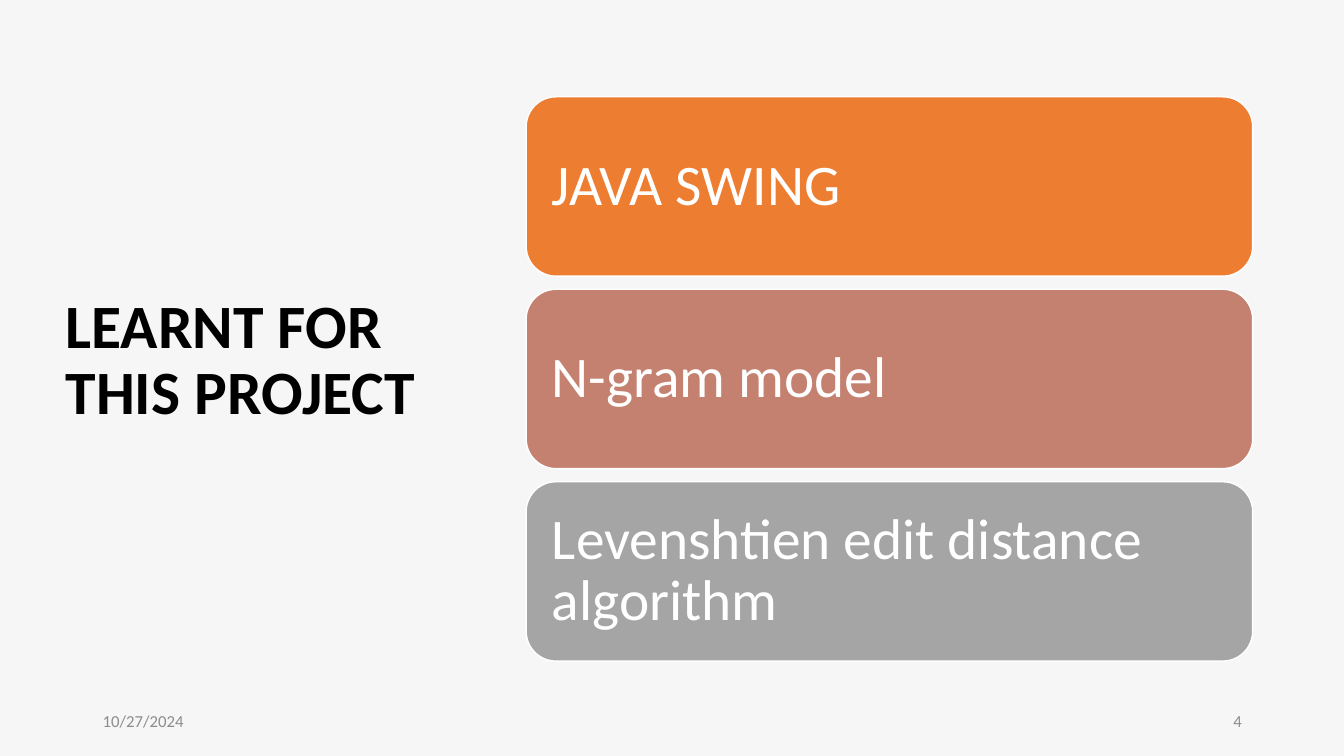
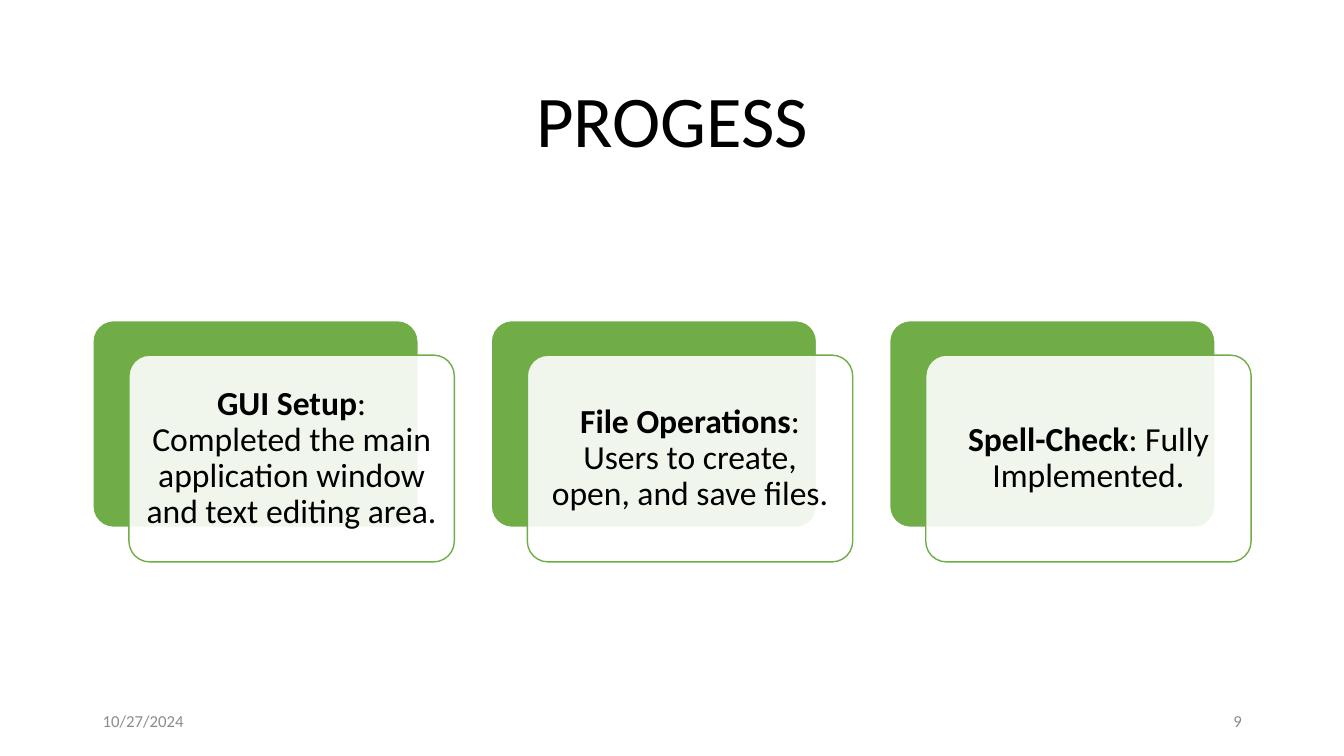
from dataclasses import dataclass

from lxml import etree
from pptx import Presentation
from pptx.dml.color import RGBColor
from pptx.enum import shapes, text
from pptx.oxml import ns
from pptx.util import Cm, Pt


@dataclass(frozen=True)
class Theme:
    """Colours, font and type sizes shared by the slides."""
    font: str = "Calibri"
    ink: str = "000000"
    white: str = "FFFFFF"
    pale: str = "F6F6F6"
    muted: str = "8C8C8C"
    orange: str = "ED7D31"
    clay: str = "C48170"
    gray: str = "A5A5A5"
    green: str = "70AD47"
    side_title: int = 44
    top_title: int = 52
    topic: int = 41
    card: int = 24
    footer: int = 12


THEME = Theme()
LEFT, CENTER, RIGHT = (text.PP_ALIGN.LEFT, text.PP_ALIGN.CENTER,
                       text.PP_ALIGN.RIGHT)
DATE = "10/27/2024"


def write(shape, *runs, size, color=THEME.ink, align=LEFT, spacing=0.9,
          inset=None):
    """Fill a shape with one paragraph of (wording, bold) runs."""
    frame = shape.text_frame
    frame.word_wrap = True
    frame.auto_size = text.MSO_AUTO_SIZE.NONE
    frame.vertical_anchor = text.MSO_ANCHOR.MIDDLE
    if inset is not None:
        frame.margin_left = frame.margin_right = Cm(inset)
        frame.margin_top = frame.margin_bottom = Cm(inset)
    paragraph = frame.paragraphs[0]
    paragraph.alignment = align
    paragraph.line_spacing = spacing
    for wording, bold in runs:
        run = paragraph.add_run()
        run.text = wording
        run.font.name = THEME.font
        run.font.size = Pt(size)
        run.font.bold = bold
        run.font.color.rgb = RGBColor.from_string(color)


class Deck:
    def __init__(self):
        self.show = Presentation()
        self.show.slide_width, self.show.slide_height = Cm(33.87), Cm(19.05)
        self.slide = None

    def new_slide(self, background, page):
        self.slide = self.show.slides.add_slide(self.show.slide_layouts[5])
        fill = self.slide.background.fill
        fill.solid()
        fill.fore_color.rgb = RGBColor.from_string(background)
        self.footer(DATE, 2.34, LEFT)
        self.footer(page, 23.93, RIGHT)

    def footer(self, wording, left, align):
        box = self.slide.shapes.add_textbox(Cm(left), Cm(17.65), Cm(7.62), Cm(1.02))
        write(box, (wording, False), size=THEME.footer, color=THEME.muted,
              align=align, spacing=1.0)

    def title(self, wording, left, top, width, height, bold=False, **style):
        title = self.slide.shapes.title
        title.left, title.top = Cm(left), Cm(top)
        title.width, title.height = Cm(width), Cm(height)
        write(title, (wording, bold), **style)

    def panel(self, left, top, width, height, fill, line, corner, opacity=100):
        panel = self.slide.shapes.add_shape(
            shapes.MSO_SHAPE.ROUNDED_RECTANGLE,
            Cm(left), Cm(top), Cm(width), Cm(height))
        panel.adjustments[0] = corner
        panel.shadow.inherit = False
        panel.fill.solid()
        panel.fill.fore_color.rgb = RGBColor.from_string(fill)
        panel.line.color.rgb = RGBColor.from_string(line)
        panel.line.width = Pt(1)
        if opacity < 100:
            color = panel.fill._xPr.find(ns.qn("a:solidFill"))[0]
            etree.SubElement(color, ns.qn("a:alpha"), val=str(opacity * 1000))
        return panel

    def topic(self, wording, top, fill):
        bar = self.panel(13.26, top, 18.31, 4.52, fill, THEME.white, 0.1667)
        write(bar, (wording, False), size=THEME.topic, color=THEME.white,
              inset=0.43)

    def card(self, heading, detail, left, top, width=8.2, height=5.21):
        self.panel(left, top, width, height, THEME.green, THEME.white, 0.1)
        front = self.panel(left + 0.91, top + 0.87, width, height, THEME.white,
                           THEME.green, 0.1, opacity=90)
        write(front, (heading, True), (detail, False), size=THEME.card,
              align=CENTER, inset=0.25)


def main():
    deck = Deck()

    # Topics learnt: title at the side, stacked bars
    deck.new_slide(THEME.pale, "4")
    deck.title("LEARNT FOR THIS PROJECT", 1.4, 1.88, 10.03, 14.45, bold=True,
               size=THEME.side_title)
    topics = [("JAVA SWING", THEME.orange),
              ("N-gram model", THEME.clay),
              ("Levenshtien edit distance algorithm", THEME.gray)]
    for row, (topic, fill) in enumerate(topics):
        deck.topic(topic, 2.44 + row * 4.85, fill)

    # Progress: title on top, a row of layered cards
    deck.new_slide(THEME.white, "9")
    deck.title("PROGESS", 2.34, 1.55, 29.21, 3.15, size=THEME.top_title,
               align=CENTER)
    milestones = [
        ("GUI Setup",
         ": Completed the main application window and text editing area."),
        ("File Operations", ": Users to create, open, and save files."),
        ("Spell-Check", ": Fully Implemented."),
    ]
    for column, (heading, detail) in enumerate(milestones):
        deck.card(heading, detail, 2.34 + column * 10.04, 8.08)

    deck.show.save("out.pptx")


if __name__ == "__main__":
    main()
